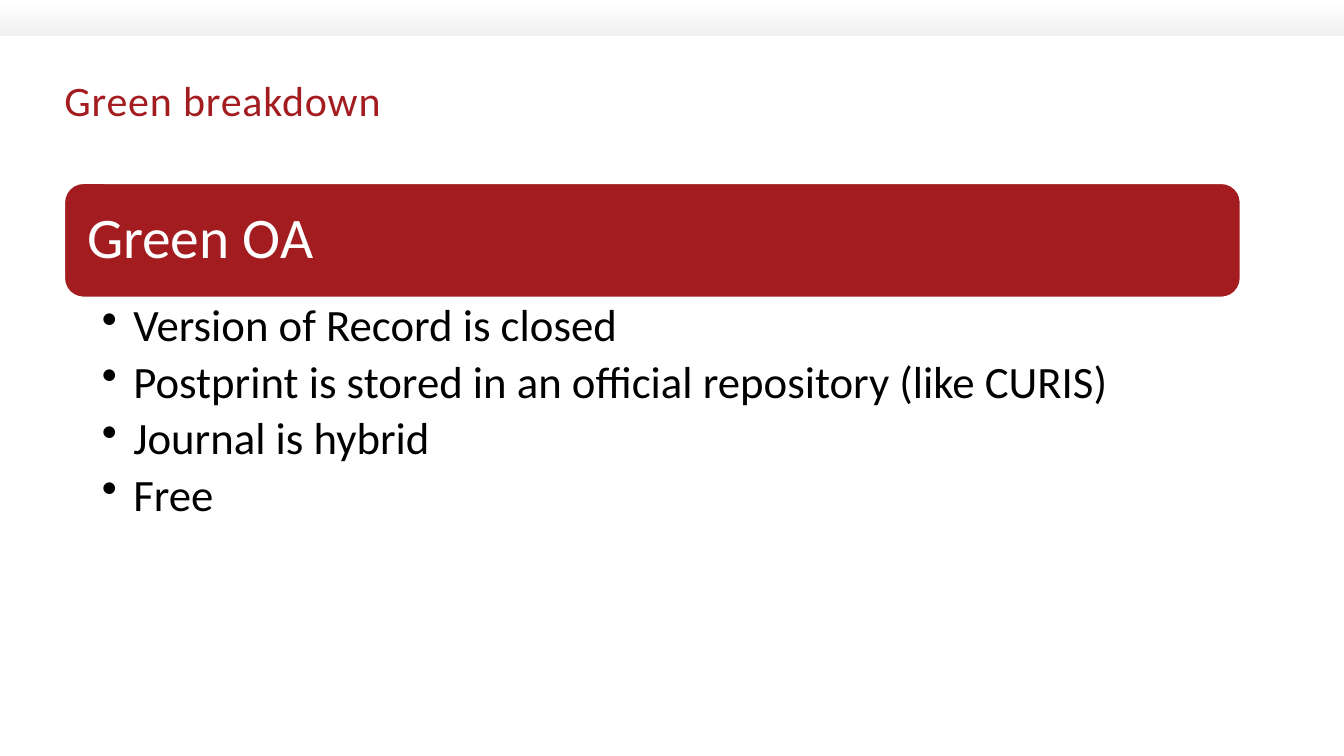
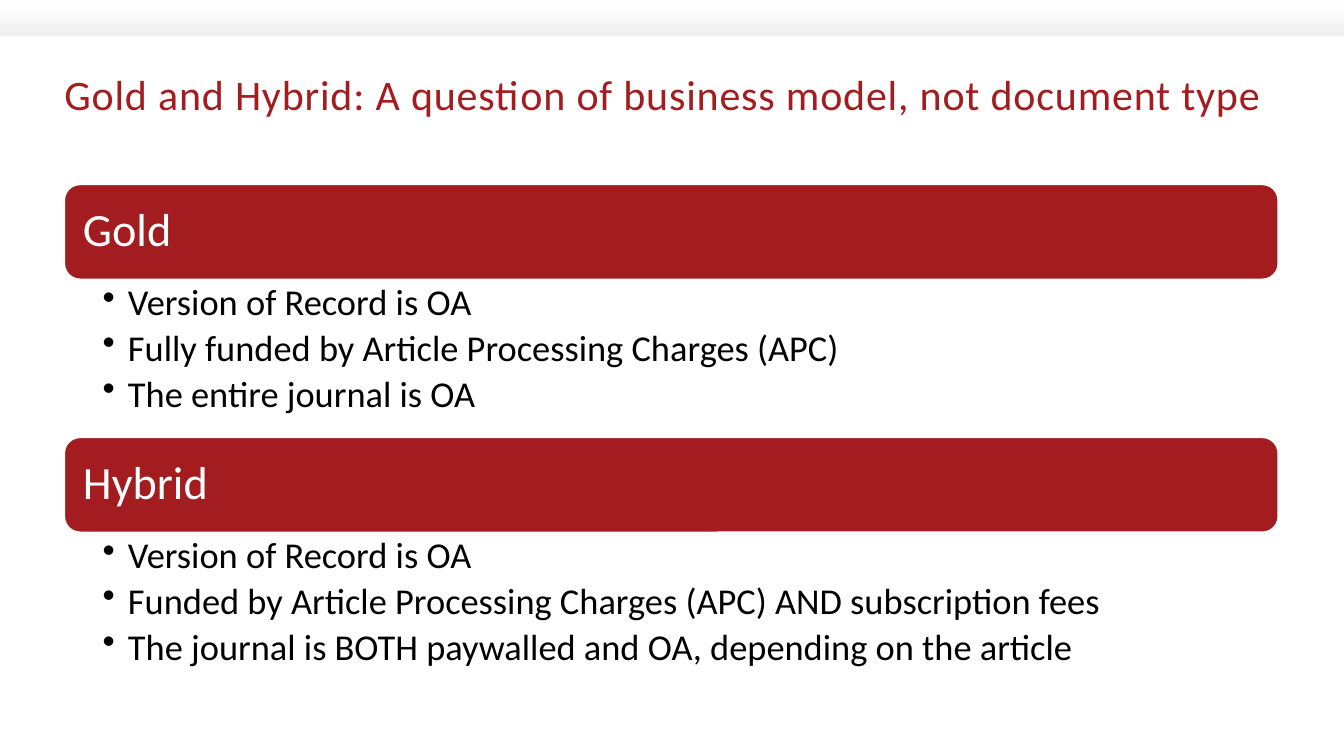
import dataclasses

import lxml.etree
import pptx
import pptx.dml.color
import pptx.enum.shapes
import pptx.enum.text
import pptx.oxml.ns
import pptx.util

Pt = pptx.util.Pt
RGB = pptx.dml.color.RGBColor.from_string


@dataclasses.dataclass(frozen=True)
class Theme:
    font: str = "Calibri"
    red: str = "A31D20"
    white: str = "FFFFFF"
    grey: str = "EFF0EF"
    black: str = "000000"
    title_size: float = 30
    title_tracking: int = 60
    left: float = 46
    title_width: float = 867
    title_height: float = 68.4
    line_spacing: float = 0.9
    space_after: float = 0.18


theme = Theme()

slides = [
    {
        "title": "Green breakdown", "title_top": 53.3,
        "top": 131, "width": 840, "bar_height": 81.4, "list_height": 281,
        "bar_size": 41, "bar_inset": 12.2,
        "list_size": 32, "list_insets": (26.7, 4.2, 23), "indent": 22.5,
        "sections": [
            ("Green OA", [
                "Version of Record is closed",
                "Postprint is stored in an official repository (like CURIS)",
                "Journal is hybrid",
                "Free",
            ]),
        ],
    },
    {
        "title": "Gold and Hybrid: A question of business model, not document type",
        "title_top": 49,
        "top": 131.8, "width": 867, "bar_height": 67.7, "list_height": 113,
        "bar_size": 33, "bar_inset": 10,
        "list_size": 26, "list_insets": (27.4, 3.4, 18.7), "indent": 18,
        "sections": [
            ("Gold", [
                "Version of Record is OA",
                "Fully funded by Article Processing Charges (APC)",
                "The entire journal is OA",
            ]),
            ("Hybrid", [
                "Version of Record is OA",
                "Funded by Article Processing Charges (APC) AND subscription fees",
                "The journal is BOTH paywalled and OA, depending on the article",
            ]),
        ],
    },
]


def set_frame(frame, left, top, right, anchor):
    frame.word_wrap = True
    frame.auto_size = pptx.enum.text.MSO_AUTO_SIZE.NONE
    frame.vertical_anchor = anchor
    frame.margin_left, frame.margin_right = Pt(left), Pt(right)
    frame.margin_top = frame.margin_bottom = Pt(top)


def style_para(para, size, color):
    para.alignment = pptx.enum.text.PP_ALIGN.LEFT
    for span in para.runs:
        span.font.name = theme.font
        span.font.size = Pt(size)
        span.font.color.rgb = RGB(color)


deck = pptx.Presentation()
deck.slide_width, deck.slide_height = Pt(960), Pt(540)
layout = deck.slide_layouts.get_by_name("Title Only")
anchors = pptx.enum.text.MSO_ANCHOR
presets = pptx.enum.shapes.MSO_SHAPE

for number, content in enumerate(slides):
    page = deck.slides.add_slide(layout)

    if number == 0:
        band = page.shapes.add_shape(presets.RECTANGLE, 0, 0, deck.slide_width, Pt(26))
        band.shadow.inherit = False
        band.line.fill.background()
        band.fill.gradient()
        band.fill.gradient_angle = 270
        for stop, color in zip(band.fill.gradient_stops, (theme.white, theme.grey)):
            stop.color.rgb = RGB(color)
        layout.shapes._spTree.insert(2, band._element)

    title = page.shapes.title
    title.left, title.top = Pt(theme.left), Pt(content["title_top"])
    title.width, title.height = Pt(theme.title_width), Pt(theme.title_height)
    title.text_frame.text = content["title"]
    set_frame(title.text_frame, 0, 0, 0, anchors.TOP)
    style_para(title.text_frame.paragraphs[0], theme.title_size, theme.red)
    for span in title.text_frame.paragraphs[0].runs:
        span.font._element.set("spc", str(theme.title_tracking))

    top = content["top"]
    for heading, points in content["sections"]:
        bar = page.shapes.add_shape(
            presets.ROUNDED_RECTANGLE, Pt(theme.left), Pt(top),
            Pt(content["width"]), Pt(content["bar_height"]))
        bar.shadow.inherit = False
        bar.fill.solid()
        bar.fill.fore_color.rgb = RGB(theme.red)
        bar.line.color.rgb = RGB(theme.white)
        bar.line.width = Pt(1)
        bar.text_frame.text = heading
        inset = content["bar_inset"]
        set_frame(bar.text_frame, inset, inset, inset, anchors.MIDDLE)
        bar.text_frame.paragraphs[0].line_spacing = theme.line_spacing
        style_para(bar.text_frame.paragraphs[0], content["bar_size"], theme.white)
        top += content["bar_height"]

        box = page.shapes.add_textbox(
            Pt(theme.left), Pt(top), Pt(content["width"]), Pt(content["list_height"]))
        box.text_frame.text = "\n".join(points)
        set_frame(box.text_frame, *content["list_insets"], anchors.TOP)
        for para in box.text_frame.paragraphs:
            properties = para._p.get_or_add_pPr()
            properties.set("marL", str(Pt(content["indent"])))
            properties.set("indent", str(-Pt(content["indent"])))
            bullet = lxml.etree.SubElement(properties, pptx.oxml.ns.qn("a:buChar"))
            bullet.set("char", "•")
            para.line_spacing = theme.line_spacing
            para.space_after = Pt(round(content["list_size"] * theme.space_after, 2))
            style_para(para, content["list_size"], theme.black)
        top += content["list_height"]

deck.save("out.pptx")
